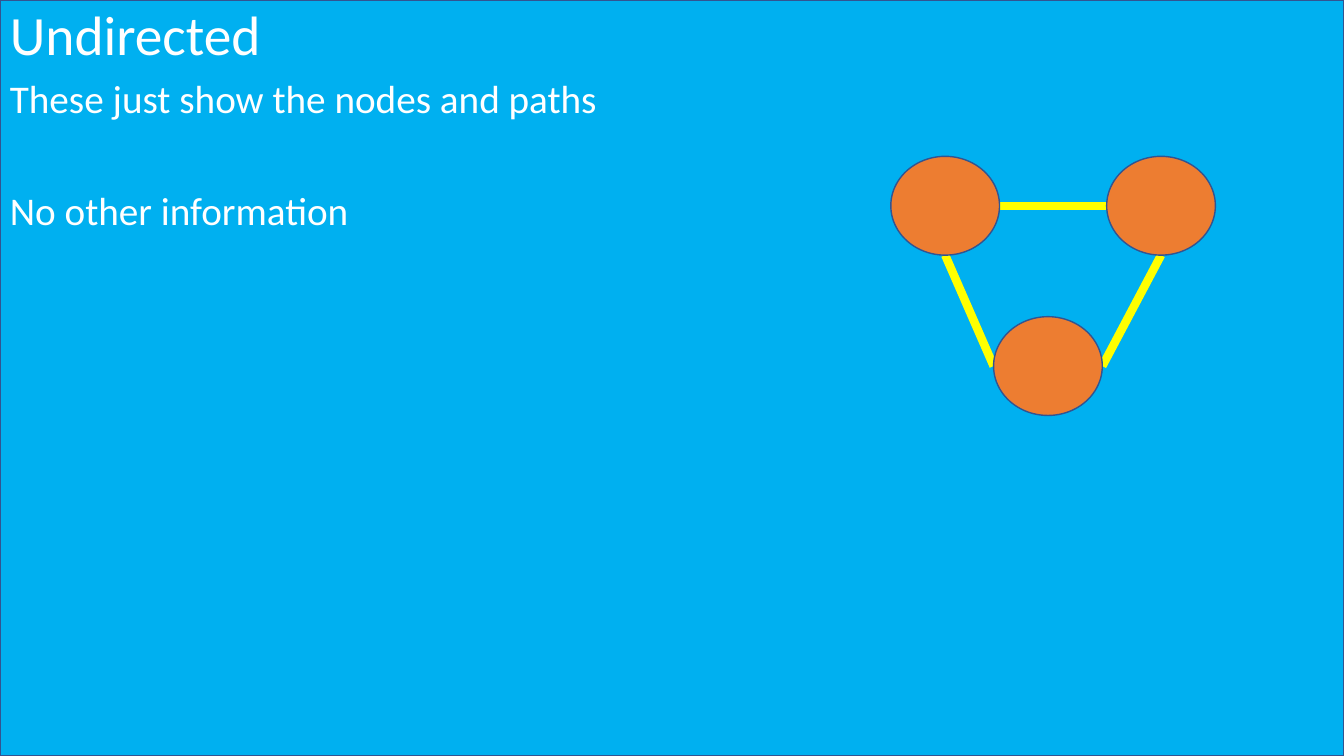
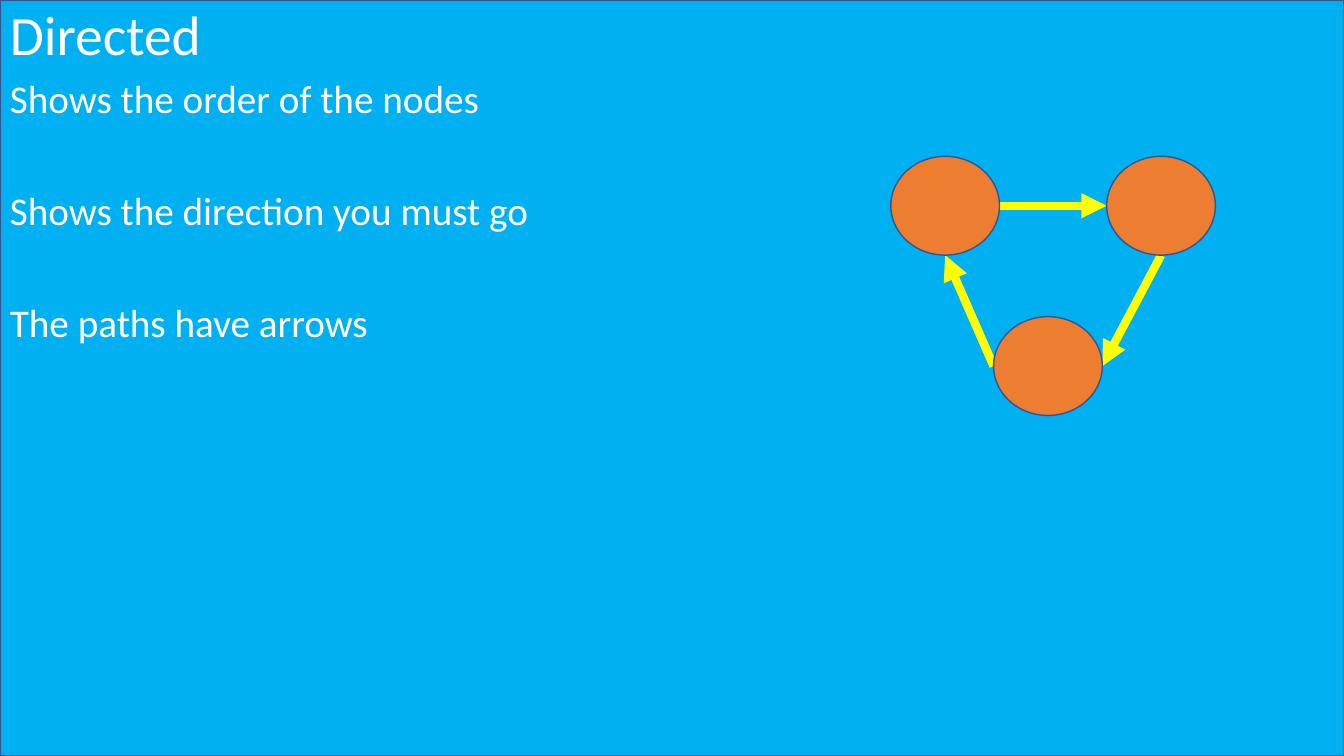
"""Build two slides that contrast undirected and directed graphs."""
from dataclasses import dataclass

import lxml.etree
import pptx
import pptx.dml.color
import pptx.enum.shapes
import pptx.enum.text
import pptx.oxml.ns
import pptx.presentation
import pptx.shapes.base
import pptx.slide
import pptx.text.text
import pptx.util
from pptx.util import Cm

SKY_BLUE = pptx.dml.color.RGBColor(0x00, 0xB0, 0xF0)
OUTLINE_BLUE = pptx.dml.color.RGBColor(0x32, 0x54, 0x91)
ORANGE = pptx.dml.color.RGBColor(0xED, 0x7D, 0x31)
YELLOW = pptx.dml.color.RGBColor(0xFF, 0xFF, 0x00)
WHITE = pptx.dml.color.RGBColor(0xFF, 0xFF, 0xFF)

FONT = "Calibri"
TITLE_SIZE = 39.6
BODY_SIZE = 28
FIRST_SPACE = 10
NEXT_SPACE = 49.6

SLIDE_WIDTH = 33.87
SLIDE_HEIGHT = 19.05
TITLE_HEIGHT = 1.88
NODE_WIDTH = 2.74
NODE_HEIGHT = 2.49

# Points on a node's outline, as fractions of its width and height.
LEFT = (0, 0.5)
RIGHT = (1, 0.5)
BOTTOM = (0.5, 1)


@dataclass(frozen=True)
class Node:
    """A graph node, placed by its top left corner in centimetres."""

    left: float
    top: float

    def point(self, side: tuple[float, float]) -> tuple[Cm, Cm]:
        """Return the point on the given side of the node."""
        return (Cm(self.left + side[0] * NODE_WIDTH),
                Cm(self.top + side[1] * NODE_HEIGHT))


@dataclass(frozen=True)
class Path:
    """A path from a side of one node to a side of another."""

    start: Node
    start_side: tuple[float, float]
    end: Node
    end_side: tuple[float, float]


@dataclass(frozen=True)
class GraphSlide:
    """The content of one slide."""

    title: str
    statements: tuple[str, ...]
    directed: bool


FIRST_NODE = Node(22.45, 3.94)
SECOND_NODE = Node(27.89, 3.94)
THIRD_NODE = Node(25.04, 7.98)
NODES = (FIRST_NODE, SECOND_NODE, THIRD_NODE)
PATHS = (
    Path(FIRST_NODE, RIGHT, SECOND_NODE, LEFT),
    Path(SECOND_NODE, BOTTOM, THIRD_NODE, RIGHT),
    Path(THIRD_NODE, LEFT, FIRST_NODE, BOTTOM),
)

GRAPH_SLIDES = (
    GraphSlide("Undirected",
               ("These just show the nodes and paths", "No other information"),
               directed=False),
    GraphSlide("Directed",
               ("Shows the order of the nodes",
                "Shows the direction you must go",
                "The paths have arrows"),
               directed=True),
)


def add_outlined_shape(slide: pptx.slide.Slide,
                       kind: pptx.enum.shapes.MSO_SHAPE,
                       left: float, top: float, width: float, height: float,
                       fill: pptx.dml.color.RGBColor) -> None:
    """Add a filled shape with the thin blue outline."""
    shape = slide.shapes.add_shape(kind, Cm(left), Cm(top),
                                   Cm(width), Cm(height))
    shape.shadow.inherit = False
    shape.fill.solid()
    shape.fill.fore_color.rgb = fill
    shape.line.color.rgb = OUTLINE_BLUE
    shape.line.width = pptx.util.Pt(1)


def add_text_frame(slide: pptx.slide.Slide, top: float,
                   height: float) -> pptx.text.text.TextFrame:
    """Add a wrapping text box across the slide and return its frame."""
    text_box = slide.shapes.add_textbox(0, Cm(top), Cm(SLIDE_WIDTH), Cm(height))
    text_box.text_frame.word_wrap = True
    return text_box.text_frame


def write_paragraph(paragraph: pptx.text.text._Paragraph, text: str,
                    size: float, space_before: float = 0) -> None:
    """Write one white run into a paragraph."""
    paragraph.line_spacing = 0.9
    paragraph.space_before = pptx.util.Pt(space_before)
    run = paragraph.add_run()
    run.text = text
    run.font.name = FONT
    run.font.size = pptx.util.Pt(size)
    run.font.color.rgb = WHITE


def add_title(slide: pptx.slide.Slide, title: str) -> None:
    """Add the title along the top edge."""
    text_frame = add_text_frame(slide, 0, TITLE_HEIGHT)
    text_frame.vertical_anchor = pptx.enum.text.MSO_ANCHOR.MIDDLE
    write_paragraph(text_frame.paragraphs[0], title, TITLE_SIZE)


def add_statements(slide: pptx.slide.Slide, statements: tuple[str, ...]) -> None:
    """Add the spaced statements below the title."""
    text_frame = add_text_frame(slide, TITLE_HEIGHT, SLIDE_HEIGHT - TITLE_HEIGHT)
    for index, statement in enumerate(statements):
        paragraph = (text_frame.add_paragraph() if index
                     else text_frame.paragraphs[0])
        write_paragraph(paragraph, statement, BODY_SIZE,
                        NEXT_SPACE if index else FIRST_SPACE)


def add_path(slide: pptx.slide.Slide, path: Path, directed: bool) -> None:
    """Add a path line, with an arrowhead at its end if directed."""
    connector = slide.shapes.add_connector(
        pptx.enum.shapes.MSO_CONNECTOR.STRAIGHT,
        *path.start.point(path.start_side), *path.end.point(path.end_side))
    connector.line.color.rgb = YELLOW
    connector.line.width = pptx.util.Pt(6)
    if directed:
        lxml.etree.SubElement(connector.line._get_or_add_ln(),
                              pptx.oxml.ns.qn("a:tailEnd"), type="triangle")
    lxml.etree.SubElement(connector._element.spPr,
                          pptx.oxml.ns.qn("a:effectLst"))


def add_graph_slide(presentation: pptx.presentation.Presentation,
                    content: GraphSlide) -> None:
    """Add a slide with its background, text and graph."""
    slide = presentation.slides.add_slide(presentation.slide_layouts[6])
    add_outlined_shape(slide, pptx.enum.shapes.MSO_SHAPE.RECTANGLE,
                       0, 0, SLIDE_WIDTH, SLIDE_HEIGHT, SKY_BLUE)
    add_title(slide, content.title)
    add_statements(slide, content.statements)
    for path in PATHS:
        add_path(slide, path, content.directed)
    for node in NODES:
        add_outlined_shape(slide, pptx.enum.shapes.MSO_SHAPE.OVAL,
                           node.left, node.top, NODE_WIDTH, NODE_HEIGHT, ORANGE)


def main() -> None:
    """Build and save the presentation."""
    presentation = pptx.Presentation()
    presentation.slide_width = Cm(SLIDE_WIDTH)
    presentation.slide_height = Cm(SLIDE_HEIGHT)
    for content in GRAPH_SLIDES:
        add_graph_slide(presentation, content)
    presentation.save("out.pptx")


main()
